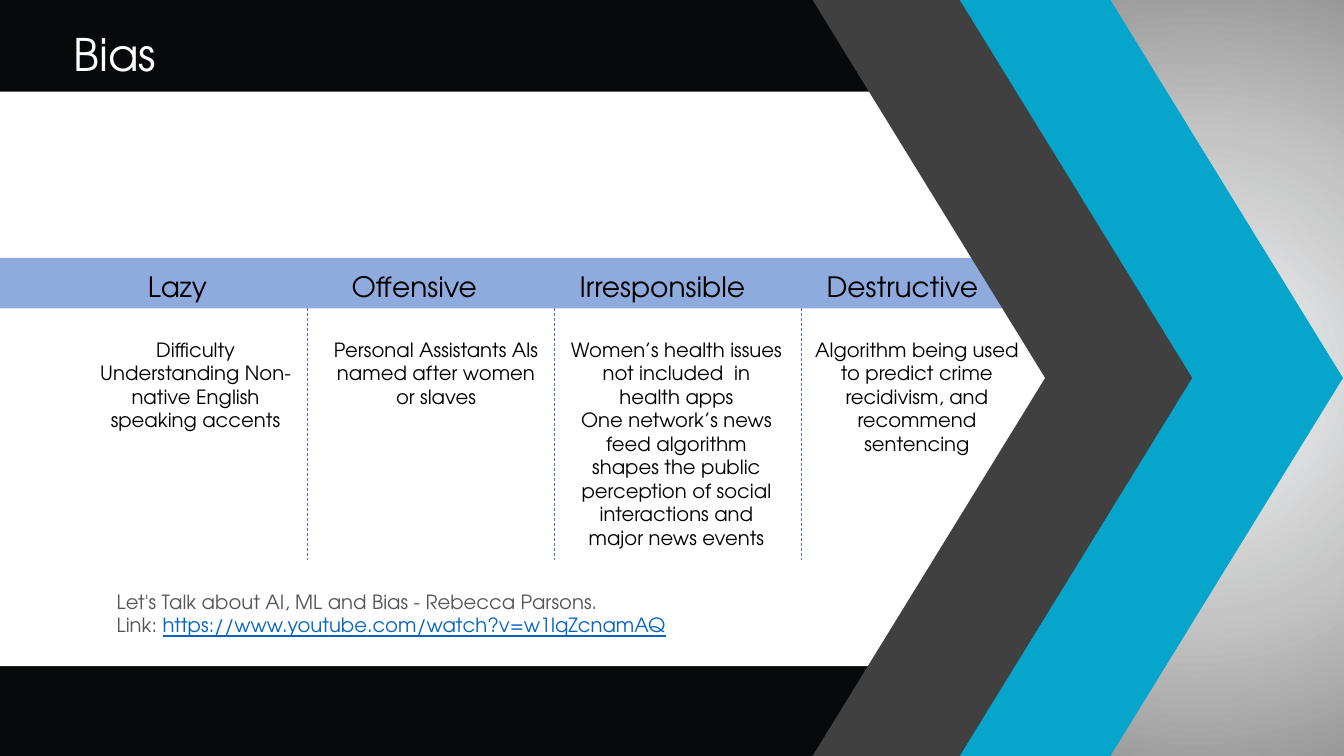
from pptx import Presentation
from pptx.dml.color import RGBColor
from pptx.enum.dml import MSO_LINE_DASH_STYLE as Dash
from pptx.enum.shapes import MSO_CONNECTOR as Conn, MSO_SHAPE as Shape
from pptx.enum.text import MSO_AUTO_SIZE as Auto, PP_ALIGN as Align
from pptx.oxml import parse_xml
from pptx.oxml.ns import nsdecls, qn
from pptx.util import Inches, Pt

FONT = "TeX Gyre Adventor"
HEX = {
    "night": "07090B", "white": "FFFFFF", "black": "000000",
    "band": "8FAADC", "rule": "4472C4", "dark": "404040",
    "cyan": "05A5CC", "note": "555555", "link": "0563C1",
}
GLOW = [(0, "F6F8FC"), (59, "C5C5C5"), (100, "999999")]
STEP = 2.45  # distance between divider lines

# Heading, heading offset from the band, body paragraphs, body height
KINDS = [
    ("Lazy", 0.77,
     ["Difficulty Understanding Non-native English speaking accents"], 1.04),
    ("Offensive", 3.12,
     ["Personal Assistants Als named after women or slaves"], 0.81),
    ("Irresponsible", 5.58,
     ["Women’s health issues not included  in health apps",
      "One network’s news feed algorithm shapes the public perception of "
      "social interactions and major news events"], 1.99),
    ("Destructive", 7.96,
     ["Algorithm being used to predict crime recidivism, and recommend "
      "sentencing"], 1.28),
]


def tint(name):
    return RGBColor.from_string(HEX[name])


def add_block(slide, kind, box, color):
    block = slide.shapes.add_shape(kind, *map(Inches, box))
    block.shadow.inherit = False
    block.line.fill.background()
    block.fill.solid()
    block.fill.fore_color.rgb = tint(color)
    return block


def add_text(slide, box, paras, size, align=Align.LEFT, wrap=True):
    """Each paragraph is a list of (text, format) runs."""
    frame = slide.shapes.add_textbox(*map(Inches, box)).text_frame
    frame.word_wrap = wrap
    frame.auto_size = Auto.SHAPE_TO_FIT_TEXT
    for i, runs in enumerate(paras):
        para = frame.add_paragraph() if i else frame.paragraphs[0]
        para.alignment = align
        for text, look in runs:
            run = para.add_run()
            run.text = text
            look = {"name": FONT, "size": Pt(size), **look}
            run.font.color.rgb = tint(look.pop("color", "black"))
            for key, value in look.items():
                setattr(run.font, key, value)


def add_rule(slide, x, top, end):
    rule = slide.shapes.add_connector(
        Conn.STRAIGHT, *map(Inches, (x, top, x, end)))
    look = {"width": Pt(0.5), "dash_style": Dash.DASH}
    for key, value in look.items():
        setattr(rule.line, key, value)
    rule.line.color.rgb = tint("rule")
    rule._element.spPr.append(parse_xml(f"<a:effectLst {nsdecls('a')}/>"))


def add_glow(block):
    stops = "".join(
        f'<a:gs pos="{pos * 1000}"><a:srgbClr val="{color}"/></a:gs>'
        for pos, color in GLOW)
    block.fill.gradient()
    props = block._element.spPr
    props.replace(props.find(qn("a:gradFill")), parse_xml(
        f'<a:gradFill {nsdecls("a")} rotWithShape="1">'
        f'<a:gsLst>{stops}</a:gsLst><a:path path="circle">'
        '<a:fillToRect l="50000" t="50000" r="50000" b="50000"/>'
        '</a:path></a:gradFill>'))


def draw_base(slide, x, y, w, h):
    # Dark frame, white page and title
    add_block(slide, Shape.RECTANGLE, (x, y, w, h), "night")
    add_block(slide, Shape.RECTANGLE, (x, y + 0.91, 11.39, 5.7), "white")
    add_text(slide, (x + 0.63, y + 0.22, 1.03, 0.64),
             [[("Bias", {"color": "white"})]], 32, wrap=False)


def draw_kinds(slide, x, y, w, h):
    # Body texts
    for i, (_, _, paras, tall) in enumerate(KINDS):
        add_text(slide, (x + 0.8 + i * 2.385, y + 0.74, 2.3, tall),
                 [[(text, {})] for text in paras], 14, Align.CENTER)
    # Dividers between the columns
    for i in range(1, len(KINDS)):
        add_rule(slide, x + 0.61 + i * STEP, y, y + h)
    # Heading band
    add_block(slide, Shape.RECTANGLE, (x, y, w, 0.5), "band")
    for head, left, _, _ in KINDS:
        add_text(slide, (x + left, y + 0.06, 2, 0.44),
                 [[(head, {})]], 20, Align.CENTER, wrap=False)


def draw_arrows(slide, x, y, w, h):
    # Shaded panel behind two chevrons
    panel = add_block(slide, Shape.RECTANGLE,
                      (x + 2.34, y, w - 2.34, h), "white")
    add_glow(panel)
    for left, color in ((0, "dark"), (1.46, "cyan")):
        arrow = add_block(slide, Shape.CHEVRON, (x + left, y, 3.8, h), color)
        arrow.adjustments[0] = 0.607


def draw_source(slide, x, y, w, h):
    # Talk title, then its link
    note = {"color": "note"}
    add_text(slide, (x, y, w, h), [
        [("Let's Talk about AI, ML and Bias - Rebecca Parsons.", note)],
        [("Link: ", note),
         ("https://www.youtube.com/watch?v=w1lqZcnamAQ",
          {"color": "link", "underline": True})],
    ], 14)


def main():
    deck = Presentation()
    deck.slide_width, deck.slide_height = Inches(13.33), Inches(7.5)
    slide = deck.slides.add_slide(deck.slide_layouts[6])
    draw_base(slide, 0, 0, 13.33, 7.5)
    draw_kinds(slide, -0.01, 2.56, 10.4, 3)
    draw_arrows(slide, 8.06, 0, 5.27, 7.5)
    draw_source(slide, 1.06, 5.8, 6.66, 0.57)
    deck.save("out.pptx")


if __name__ == "__main__":
    main()
